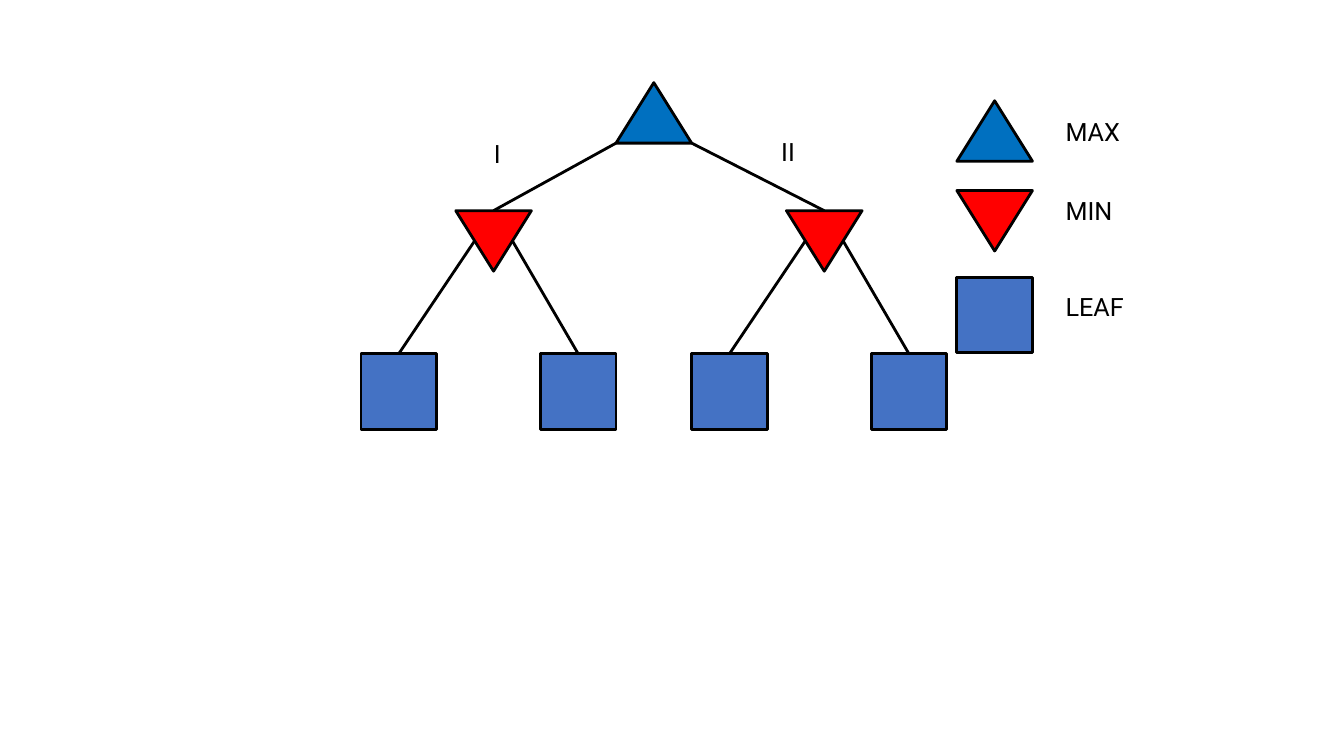
from dataclasses import dataclass

from pptx import Presentation
from pptx.dml.color import RGBColor
from pptx.enum.shapes import MSO_CONNECTOR, MSO_SHAPE
from pptx.enum.text import MSO_AUTO_SIZE
from pptx.oxml.ns import qn
from pptx.util import Inches, Pt
from lxml import etree

TRIANGLE = MSO_SHAPE.ISOSCELES_TRIANGLE
SQUARE = MSO_SHAPE.RECTANGLE
STRAIGHT = MSO_CONNECTOR.STRAIGHT
GROW = MSO_AUTO_SIZE.SHAPE_TO_FIT_TEXT
TOP_SIDE = 0
NODE_WIDTH = 0.75
TRIANGLE_HEIGHT = 0.6


@dataclass(frozen=True)
class Theme:
    """Colours, font and sizes of the slide."""
    max_fill: RGBColor = RGBColor(0x00, 0x70, 0xC0)
    min_fill: RGBColor = RGBColor(0xFF, 0x00, 0x00)
    leaf_fill: RGBColor = RGBColor(0x44, 0x72, 0xC4)
    ink: RGBColor = RGBColor(0x00, 0x00, 0x00)
    font: str = "Roboto"
    text_size: Pt = Pt(18)
    stroke: Pt = Pt(2)


THEME = Theme()


def add_node(page, kind, left, top):
    """Draw a MAX, MIN or LEAF node and return its shape."""
    preset, fill, height, rotation = {
        "MAX": (TRIANGLE, THEME.max_fill, TRIANGLE_HEIGHT, 0),
        "MIN": (TRIANGLE, THEME.min_fill, TRIANGLE_HEIGHT, 180),
        "LEAF": (SQUARE, THEME.leaf_fill, NODE_WIDTH, 0),
    }[kind]
    node = page.shapes.add_shape(
        preset, Inches(left), Inches(top), Inches(NODE_WIDTH), Inches(height))
    node.rotation = rotation
    node.shadow.inherit = False
    node.fill.solid()
    node.fill.fore_color.rgb = fill
    node.line.color.rgb = THEME.ink
    node.line.width = THEME.stroke
    return node


def add_branch(page, start, end):
    """Draw a straight branch between two points and return it."""
    branch = page.shapes.add_connector(
        STRAIGHT, *(Inches(length) for length in (*start, *end)))
    branch.line.color.rgb = THEME.ink
    branch.line.width = THEME.stroke
    etree.SubElement(branch._element.spPr, qn("a:effectLst"))
    return branch


def add_label(page, text, left, top):
    """Write a one-line label."""
    box = page.shapes.add_textbox(
        Inches(left), Inches(top), Inches(1.22), Inches(0.4))
    frame = box.text_frame
    frame.word_wrap = True
    frame.auto_size = GROW
    frame.text = text
    font = frame.paragraphs[0].runs[0].font
    font.name = THEME.font
    font.size = THEME.text_size
    font.color.rgb = THEME.ink


def add_min_subtree(page, left, top):
    """Draw a MIN node with its two leaves below."""
    add_node(page, "MIN", left, top)
    leaf_top = top + 1.42
    for leaf_offset, side in ((-0.94, 1 / 4), (0.84, 3 / 4)):
        leaf_left = left + leaf_offset
        leaf = add_node(page, "LEAF", leaf_left, leaf_top)
        branch = add_branch(
            page,
            (leaf_left + NODE_WIDTH / 2, leaf_top),
            (left + NODE_WIDTH * side, top + TRIANGLE_HEIGHT / 2))
        branch.begin_connect(leaf, TOP_SIDE)


def add_tree(page, left, top):
    """Draw the game tree from its root down, with both moves labelled."""
    root_left = left + 2.53
    root_bottom = top + TRIANGLE_HEIGHT
    min_top = top + 1.27
    add_node(page, "MAX", root_left, top)
    moves = (
        ("I", 0.94, root_left, 1.22, 0.5),
        ("II", 4.22, root_left + NODE_WIDTH, 4.07, 0.48),
    )
    for move, min_offset, corner, label_offset, label_drop in moves:
        min_left = left + min_offset
        add_min_subtree(page, min_left, min_top)
        add_branch(page, (corner, root_bottom),
                   (min_left + NODE_WIDTH / 2, min_top))
        add_label(page, move, left + label_offset, top + label_drop)


def add_legend(page, left, top):
    """Draw the key that names each kind of node."""
    entries = (("MAX", 0, 0.1), ("MIN", 0.89, 0.89), ("LEAF", 1.75, 1.84))
    for kind, node_drop, label_drop in entries:
        add_node(page, kind, left, top + node_drop)
        add_label(page, kind, left + 0.98, top + label_drop)


def main():
    """Build the slide and save it."""
    deck = Presentation()
    deck.slide_width = Inches(13.33)
    deck.slide_height = Inches(7.5)
    page = deck.slides.add_slide(deck.slide_layouts[6])
    add_tree(page, 3.58, 0.82)
    add_legend(page, 9.49, 1)
    deck.save("out.pptx")


if __name__ == "__main__":
    main()
